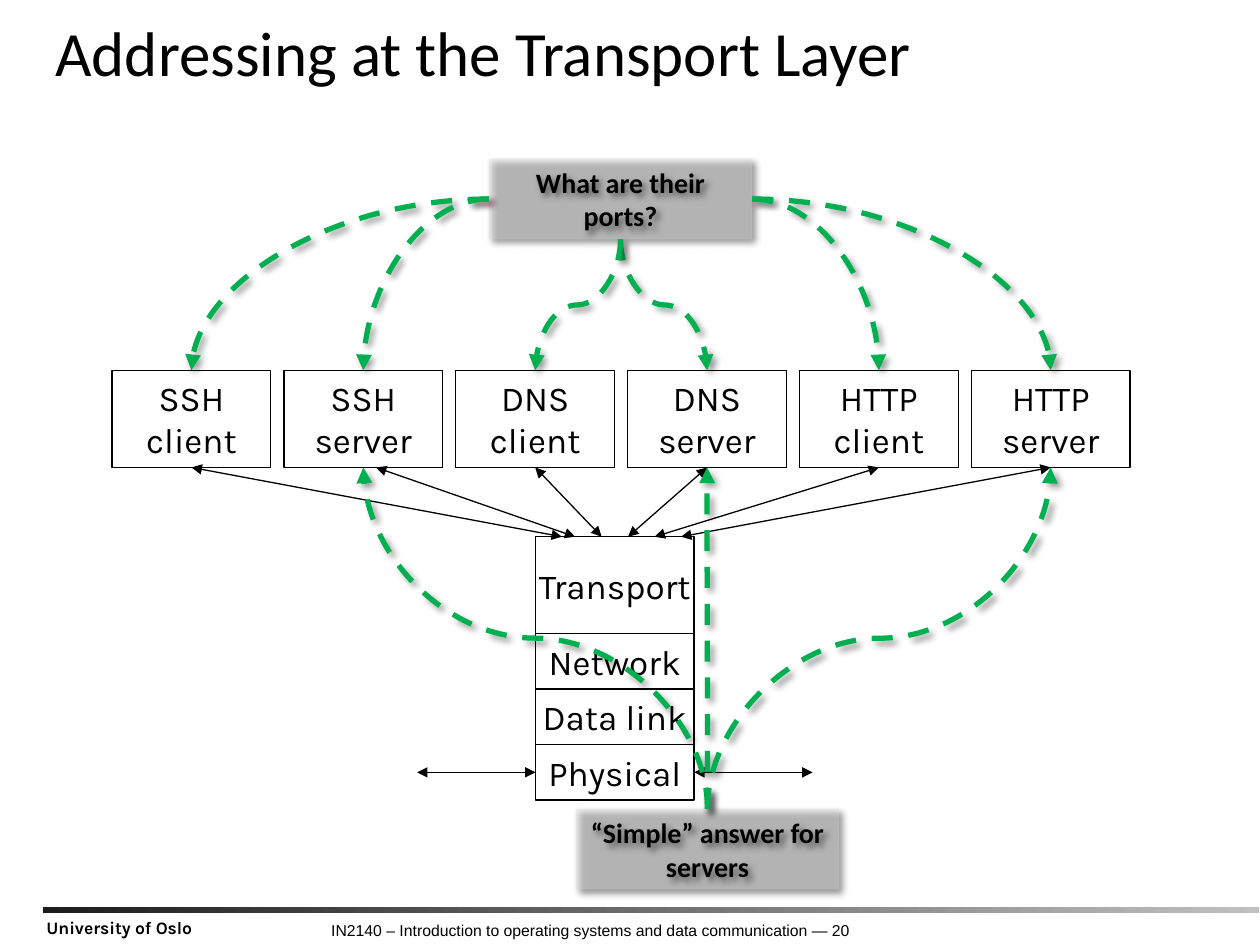
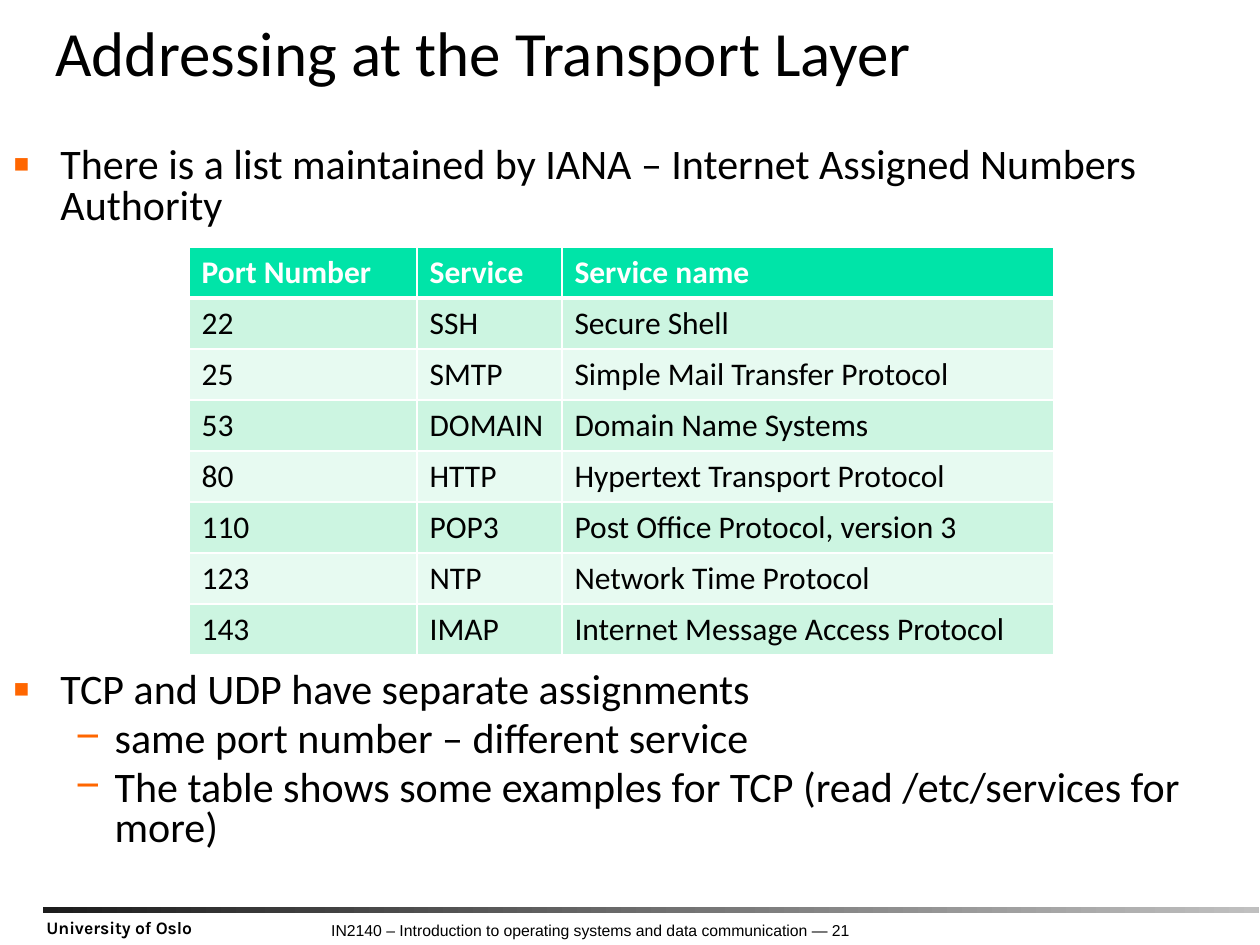
from lxml.etree import SubElement
from pptx import Presentation
from pptx.dml.color import RGBColor as Rgb
from pptx.enum.dml import MSO_LINE as Dash
from pptx.enum.shapes import MSO_CONNECTOR as Link, MSO_SHAPE as Form
from pptx.enum.text import MSO_ANCHOR as Anchor, MSO_AUTO_SIZE as Fit, PP_ALIGN as Align
from pptx.oxml.ns import qn
from pptx.util import Inches as In, Pt

HUES = {"ink": "000000", "paper": "FFFFFF", "dark": "1C1C1C", "pale": "C0C0C0",
        "note": "D9D9D9", "path": "00B050", "mark": "FF6600",
        "head": "00E4A8", "odd": "CCF5E1", "even": "E7FAF1"}
RGB = {name: Rgb.from_string(hue) for name, hue in HUES.items()}


def put(node, tag, **attrs):
    return SubElement(node, qn(tag), {key: str(val) for key, val in attrs.items()})


def label(frame, text, font, size, bold=False, align=Align.LEFT, hue="ink"):
    frame.text = text
    for para in frame.paragraphs:
        para.alignment = align
        for run in para.runs:
            run.font.name, run.font.size, run.font.bold = font, Pt(size), bold
            run.font.color.rgb = RGB[hue]


deck = Presentation()
deck.slide_width, deck.slide_height = In(10), In(7.5)
ports = deck.slides.add_slide(deck.slide_layouts[5])
names = deck.slides.add_slide(deck.slide_layouts[1])

# Title, band and footer of every slide
for page, slide in enumerate((ports, names), 20):
    title = slide.shapes.title
    title.left, title.top, title.width, title.height = In(0.34), In(0.14), In(9.62), In(0.61)
    frame = title.text_frame
    frame.auto_size, frame.vertical_anchor = Fit.NONE, Anchor.BOTTOM
    frame.margin_right = In(0.04)
    label(frame, "Addressing at the Transport Layer", "Calibri", 36)
    frame.paragraphs[0].line_spacing = 0.8

    band = slide.shapes.add_shape(Form.RECTANGLE, In(0.34), In(7.2), In(9.65), In(0.05))
    band.shadow.inherit = False
    band.line.fill.background()
    band.fill.gradient()
    band.fill.gradient_angle = 0
    for stop, hue in zip(band.fill.gradient_stops, ("dark", "pale")):
        stop.color.rgb = RGB[hue]

    course = f"IN2140 – Introduction to operating systems and data communication — {page}"
    for text, x, y, wide, font, size, bold, align in (
            (course, 1.89, 7.28, 5.59, "Arial", 9, False, Align.CENTER),
            ("University of Oslo", 0.27, 7.25, 1.63, "Karla", 10, True, Align.LEFT)):
        frame = slide.shapes.add_textbox(In(x), In(y), In(wide), In(0.24)).text_frame
        frame.word_wrap, frame.margin_top = True, In(0.03)
        label(frame, text, font, size, bold, align)

# Slide 20: six programs in a row above the layer stack
shapes = ports.shapes
LEFT, STEP, WIDE, TALL, ROW = 0.89, 1.364, 1.26, 0.77, 2.94
FOOT = ROW + TALL
STACK, TOP, LAYER = 4.25, 4.26, 0.44
progs = [f"{name}\n{role}" for name in ("SSH", "DNS", "HTTP") for role in ("client", "server")]
boxes = [(text, LEFT + i * STEP, ROW, TALL) for i, text in enumerate(progs)]
boxes.append(("Transport", STACK, TOP, TALL))
boxes += [(text, STACK, TOP + TALL + i * LAYER, LAYER)
          for i, text in enumerate(("Network", "Data link", "Physical"))]
cells = []
for text, x, y, tall in boxes:
    box = shapes.add_shape(Form.RECTANGLE, In(x), In(y), In(WIDE), In(tall))
    box.shadow.inherit = False
    box.fill.solid()
    box.fill.fore_color.rgb = RGB["paper"]
    box.line.color.rgb, box.line.width = RGB["ink"], Pt(0.75)
    box.text_frame.word_wrap = False
    box.text_frame.vertical_anchor = Anchor.MIDDLE
    label(box.text_frame, text, "Karla", 20, align=Align.CENTER)
    cells.append(box)

# Two-way arrows: programs to transport, physical layer to both sides
mids = [LEFT + i * STEP + WIDE / 2 for i in range(6)]
mids[1] += 0.1
wires = [(mid, FOOT, STACK + WIDE * part / 12, TOP)
         for mid, part in zip(mids, (2, 3, 5, 7, 9, 11))]
wire = TOP + TALL + 2.5 * LAYER
wires += [(x, wire, x + 0.94, wire) for x in (STACK - 0.94, STACK + WIDE)]
for ends in wires:
    line = shapes.add_connector(Link.STRAIGHT, *map(In, ends))
    line.line.color.rgb, line.line.width = RGB["ink"], Pt(0.75)
    for end in ("a:headEnd", "a:tailEnd"):
        put(line.line._get_or_add_ln(), end, type="triangle")
    put(line._element.spPr, "a:effectLst")

# Grey notes
notes, glows = [], []
for text, x, y in (("What are their ports?", 3.88, 1.26),
                   ("“Simple” answer for servers", 4.57, 6.42)):
    note = shapes.add_shape(Form.RECTANGLE, In(x), In(y), In(2.09), In(0.64))
    note.line.fill.background()
    note.fill.solid()
    note.fill.fore_color.rgb = RGB["note"]
    put(note._element.spPr.find(".//" + qn("a:srgbClr")), "a:alpha", val=40000)
    note.text_frame.word_wrap = True
    note.text_frame.vertical_anchor = Anchor.MIDDLE
    label(note.text_frame, text, "Calibri", 16, True, Align.CENTER)
    notes.append(note)
    glows.append(note)

# Dashed paths: note, its side, program, its side (0 top, 1 left, 2 bottom, 3 right)
for note, start, prog, stop in ((0, 1, 0, 0), (0, 1, 1, 0), (0, 3, 5, 0), (0, 3, 4, 0),
                                (0, 2, 3, 0), (0, 2, 2, 0),
                                (1, 0, 1, 2), (1, 0, 3, 2), (1, 0, 5, 2)):
    curve = shapes.add_connector(Link.CURVE, 0, 0, 0, 0)
    curve.begin_connect(notes[note], start)
    curve.end_connect(cells[prog], stop)
    spot = curve._element.spPr
    if start in (1, 3):
        spot.find(qn("a:prstGeom")).set("prst", "curvedConnector2")
    else:
        # A curve that leaves upright is a level one, turned about its middle
        x1, y1, x2, y2 = curve.begin_x, curve.begin_y, curve.end_x, curve.end_y
        midx, midy = (x1 + x2) // 2, (y1 + y2) // 2
        sign = 1 if y2 > y1 else -1
        runx, runy = sign * (y2 - y1) // 2, -sign * (x2 - x1) // 2
        curve.begin_x, curve.end_x = midx - runx, midx + runx
        curve.begin_y, curve.end_y = midy - runy, midy + runy
        spot.find(qn("a:xfrm")).set("rot", str((180 - 90 * sign) * 60000))
    curve.line.color.rgb, curve.line.width = RGB["path"], Pt(3)
    curve.line.dash_style = Dash.DASH
    put(curve.line._get_or_add_ln(), "a:tailEnd", type="triangle")
    glows.append(curve)

for item in glows:
    cast = put(put(item._element.spPr, "a:effectLst"), "a:outerShdw", blurRad=Pt(4),
               dist=Pt(3), dir=45 * 60000, algn="tl", rotWithShape=0)
    put(put(cast, "a:srgbClr", val=HUES["ink"]), "a:alpha", val=40000)

# Slide 21: list around the table
body = names.placeholders[1]
body.left, body.top, body.width, body.height = In(0), In(1.12), In(9.67), In(5.91)
frame = body.text_frame
frame.auto_size, frame.margin_right = Fit.NONE, In(0.06)
items = (("There is a list maintained by IANA – Internet Assigned Numbers Authority", 0, 0),
         ("TCP and UDP have separate assignments", 0, 254),
         ("same port number – different service", 1, 4.8),
         ("The table shows some examples for TCP (read /etc/services for more)", 1, 4.8))
label(frame, "\n".join(item[0] for item in items), "Calibri", 24)
for para, (text, level, gap) in zip(frame.paragraphs, items):
    sign, size, left, hang = (("▪", 120, 0.38, 0.38), ("−", 100, 0.81, 0.31))[level]
    para.level = level
    props = para._p.get_or_add_pPr()
    props.set("marL", str(In(left)))
    props.set("indent", str(-In(hang)))
    put(put(props, "a:buClr"), "a:srgbClr", val=HUES["mark"])
    put(props, "a:buSzPct", val=size * 1000)
    put(props, "a:buChar", char=sign)
    para.line_spacing, para.space_before = 0.8, Pt(gap)

# Table of well-known ports
rows = (("Port Number", "Service", "Service name"),
        ("22", "SSH", "Secure Shell"),
        ("25", "SMTP", "Simple Mail Transfer Protocol"),
        ("53", "DOMAIN", "Domain Name Systems"),
        ("80", "HTTP", "Hypertext Transport Protocol"),
        ("110", "POP3", "Post Office Protocol, version 3"),
        ("123", "NTP", "Network Time Protocol"),
        ("143", "IMAP", "Internet Message Access Protocol"))
table = names.shapes.add_table(len(rows), 3, In(1.5), In(1.96), In(6.86), In(3.24)).table
for col, wide in zip(table.columns, (1.81, 1.15, 3.9)):
    col.width = In(wide)
for r, row in enumerate(rows):
    for c, text in enumerate(row):
        cell = table.cell(r, c)
        label(cell.text_frame, text, "Calibri", 18, r == 0, hue="ink" if r else "paper")
        for side in "LRTB":
            thick = 3 if (r, side) in ((0, "B"), (1, "T")) else 1
            edge = put(cell._tc.get_or_add_tcPr(), "a:ln" + side, w=Pt(thick))
            put(put(edge, "a:solidFill"), "a:srgbClr", val=HUES["paper"])
        cell.fill.solid()
        cell.fill.fore_color.rgb = RGB["head" if r == 0 else "odd" if r % 2 else "even"]

deck.save("out.pptx")
